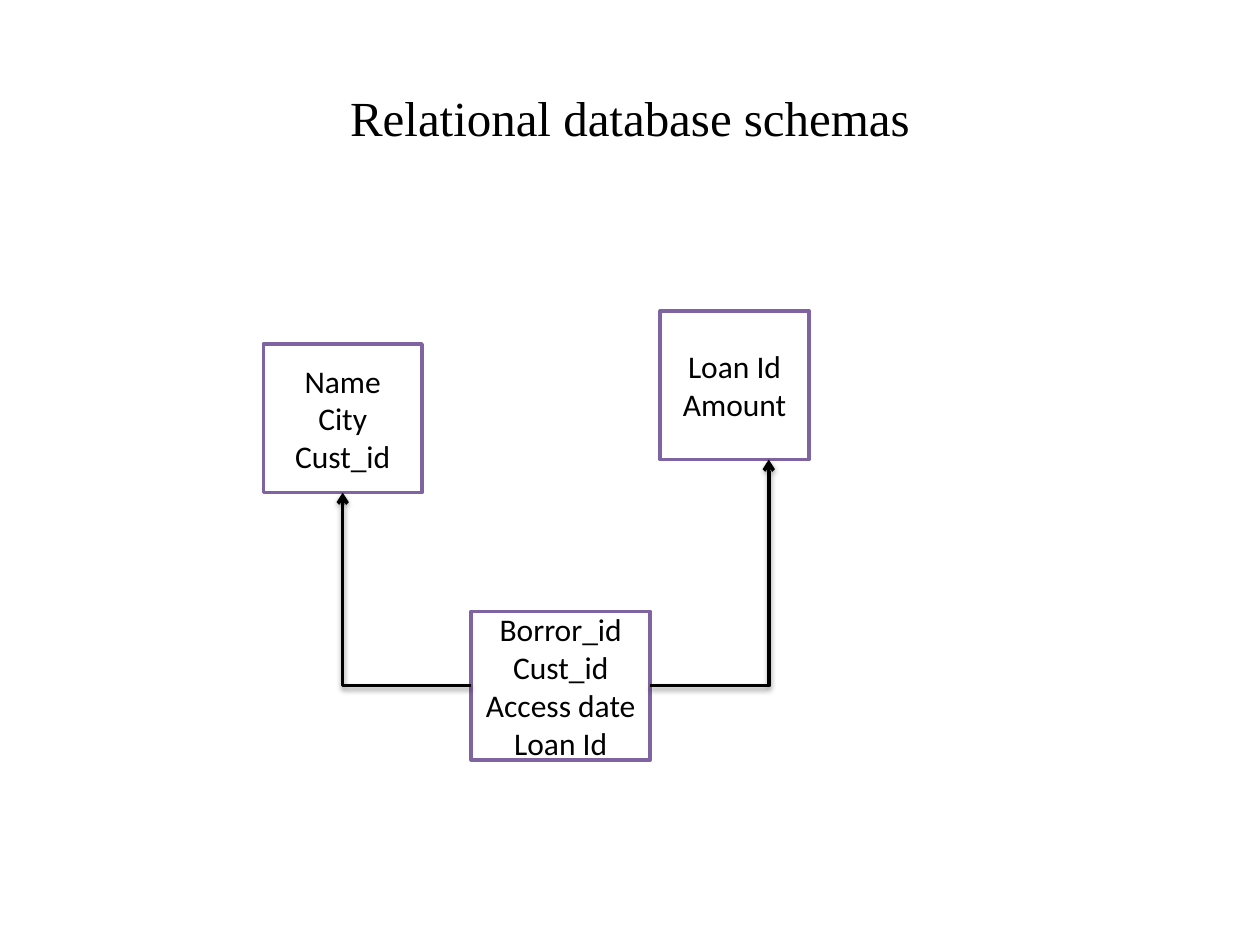
import dataclasses

import pptx
import pptx.dml.color
import pptx.enum.shapes
import pptx.enum.text
import pptx.oxml
import pptx.oxml.ns
import pptx.util

WIDE, HIGH = 10, 7.5
SIDE = 1.18
TOP, LEFT, BOTTOM, RIGHT = range(4)
INK, PAPER, EDGE = "000000", "FFFFFF", "8064A2"
SHADOW = (
    f"<a:effectLst {pptx.oxml.ns.nsdecls('a')}>"
    '<a:outerShdw blurRad="40000" dist="20000" dir="5400000" rotWithShape="0">'
    f'<a:srgbClr val="{INK}"><a:alpha val="38000"/></a:srgbClr>'
    "</a:outerShdw></a:effectLst>"
)
ARROW = f"<a:tailEnd {pptx.oxml.ns.nsdecls('a')} type=\"arrow\"/>"


@dataclasses.dataclass(frozen=True)
class Table:
    """A schema box; left, top and width are shares of the slide."""
    left: float
    top: float
    width: float
    fields: tuple[str, ...]


CLIENT = Table(0.209, 0.364, 0.126, ("Name", "City", "Cust_id"))
BORROW = Table(0.374, 0.647, 0.142,
               ("Borror_id", "Cust_id", "Access date", "Loan Id"))
LOAN = Table(0.524, 0.329, 0.118, ("Loan Id", "Amount"))


def color(code: str) -> pptx.dml.color.RGBColor:
    return pptx.dml.color.RGBColor.from_string(code)


def across(share: float) -> int:
    return pptx.util.Inches(share * WIDE)


def down(share: float) -> int:
    return pptx.util.Inches(share * HIGH)


def write(frame, lines: tuple[str, ...], size: float, face: str) -> None:
    frame.word_wrap = True
    frame.vertical_anchor = pptx.enum.text.MSO_ANCHOR.MIDDLE
    for row, line in enumerate(lines):
        para = frame.add_paragraph() if row else frame.paragraphs[0]
        para.alignment = pptx.enum.text.PP_ALIGN.CENTER
        run = para.add_run()
        run.text = line
        run.font.size = pptx.util.Pt(size)
        run.font.name = face
        run.font.color.rgb = color(INK)


def stroke(line, code: str) -> None:
    line.color.rgb = color(code)
    line.width = pptx.util.Pt(2)


def draw_table(slide, table: Table):
    box = slide.shapes.add_shape(
        pptx.enum.shapes.MSO_SHAPE.RECTANGLE, across(table.left),
        down(table.top), across(table.width), pptx.util.Inches(SIDE))
    box.shadow.inherit = False
    box.fill.solid()
    box.fill.fore_color.rgb = color(PAPER)
    stroke(box.line, EDGE)
    write(box.text_frame, table.fields, 18, "Calibri")
    return box


def draw_link(slide, source, side: int, target, share: float) -> None:
    """Run an elbow from a side to a share of the target's bottom edge."""
    start = source.left + (source.width if side == RIGHT else 0)
    link = slide.shapes.add_connector(
        pptx.enum.shapes.MSO_CONNECTOR.ELBOW,
        start, source.top + source.height // 2,
        target.left + int(target.width * share), target.top + target.height)
    link.begin_connect(source, side)
    if share == 0.5:
        link.end_connect(target, BOTTOM)
    stroke(link.line, INK)
    shape = link._element.spPr
    shape.find(pptx.oxml.ns.qn("a:prstGeom")).set("prst", "bentConnector2")
    shape.find(pptx.oxml.ns.qn("a:ln")).append(pptx.oxml.parse_xml(ARROW))
    shape.append(pptx.oxml.parse_xml(SHADOW))


def main() -> None:
    deck = pptx.Presentation()
    deck.slide_width = pptx.util.Inches(WIDE)
    deck.slide_height = pptx.util.Inches(HIGH)
    slide = deck.slides.add_slide(deck.slide_layouts[5])

    title = slide.shapes.title
    title.left, title.top = across(0.05), down(0.04)
    title.width, title.height = across(0.9), pptx.util.Inches(1.25)
    write(title.text_frame, ("Relational database schemas",), 28,
          "Times New Roman")

    client, borrow, loan = (
        draw_table(slide, table) for table in (CLIENT, BORROW, LOAN))
    draw_link(slide, borrow, LEFT, client, 0.5)
    draw_link(slide, borrow, RIGHT, loan, 0.73)
    deck.save("out.pptx")


if __name__ == "__main__":
    main()
